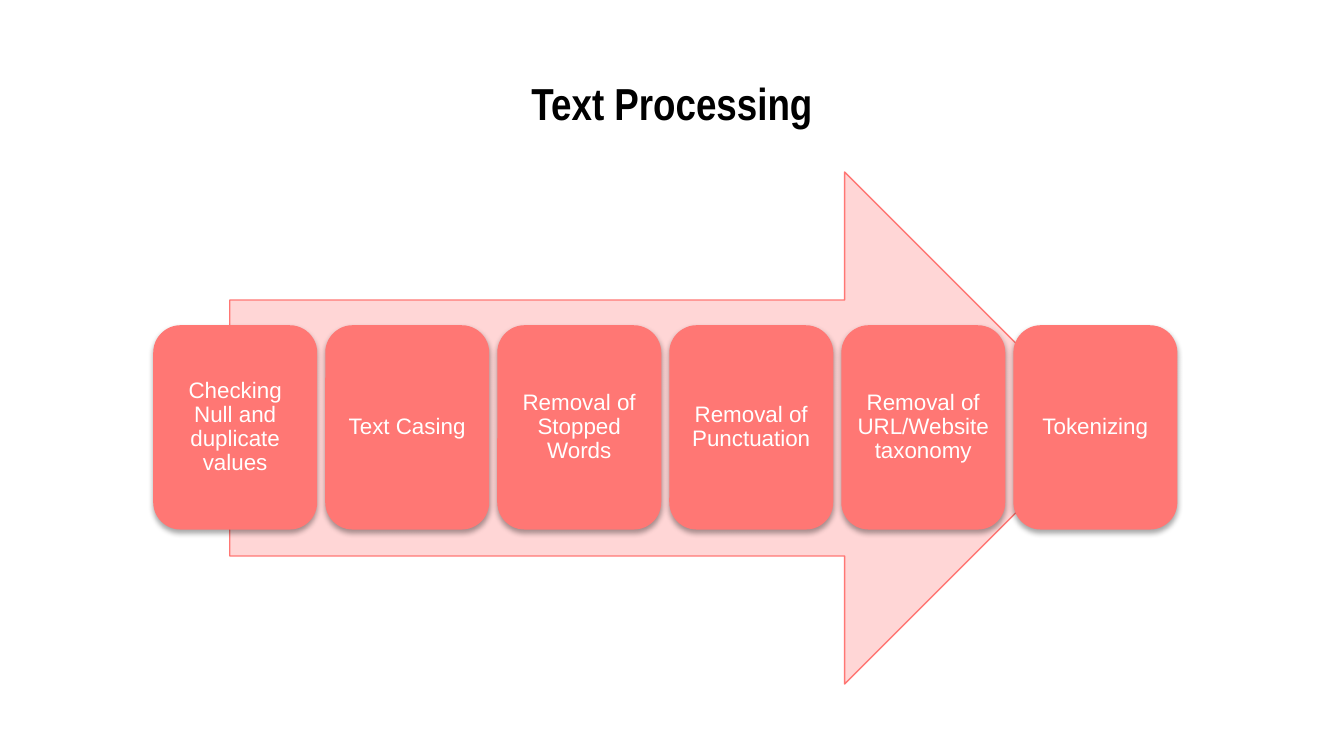
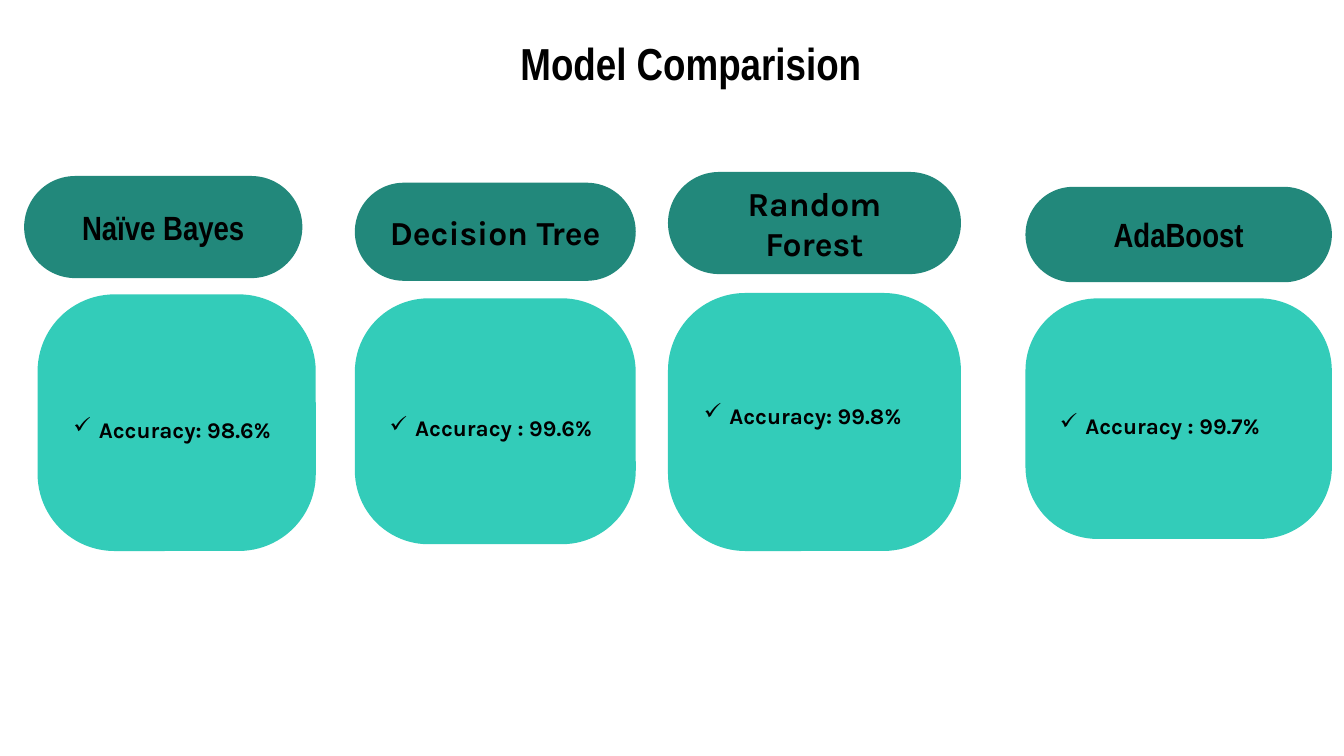
from dataclasses import dataclass

from lxml.etree import SubElement
from pptx import Presentation
from pptx.dml.color import RGBColor
from pptx.enum.shapes import MSO_SHAPE
from pptx.enum.text import MSO_ANCHOR, MSO_AUTO_SIZE, PP_ALIGN
from pptx.oxml.ns import qn
from pptx.util import Inches, Pt


@dataclass(frozen=True)
class Theme:
    """Hold the colours, fonts and type sizes of the deck."""
    ink: str = "000000"
    paper: str = "FFFFFF"
    coral: str = "FF7774"
    blush: str = "FFD6D6"
    teal: str = "22887B"
    mint: str = "33CCB9"
    plain: str = "Arial"
    narrow: str = "Arial Narrow"
    round: str = "Karla"
    title: int = 24
    head: int = 18
    body: int = 12


THEME = Theme()
COLS, ROWS = 100, 56.25
CELL = Inches(0.1)
STEPS = (
    "Checking Null and duplicate values",
    "Text Casing",
    "Removal of Stopped Words",
    "Removal of Punctuation",
    "Removal of URL/Website taxonomy",
    "Tokenizing",
)
MODELS = (
    ("Naïve Bayes", THEME.narrow, (1.8, 13.1, 20.7, 7.6),
     "Accuracy: 98.6%", (2.8, 21.9, 20.7, 19.1), 1),
    ("Decision Tree", THEME.round, (26.4, 13.6, 20.9, 7.3),
     "Accuracy : 99.6%", (26.4, 22.2, 20.9, 18.3), 1),
    ("Random Forest", THEME.round, (49.7, 12.8, 21.8, 7.6),
     "Accuracy: 99.8%", (49.7, 21.8, 21.8, 19.2), 3),
    ("AdaBoost", THEME.narrow, (76.3, 13.9, 22.8, 7.1),
     "Accuracy : 99.7%", (76.3, 22.2, 22.8, 17.9), 1),
)


def cells(*spans):
    """Turn grid spans into lengths."""
    return [round(span * CELL) for span in spans]


def write(shape, text, face, size, tone, bold=True, pad=(1, 1, 1, 1)):
    """Fill a shape with one centred paragraph and return it."""
    frame = shape.text_frame
    frame.word_wrap = True
    frame.auto_size = MSO_AUTO_SIZE.NONE
    frame.vertical_anchor = MSO_ANCHOR.MIDDLE
    (frame.margin_left, frame.margin_top,
     frame.margin_right, frame.margin_bottom) = cells(*pad)
    frame.text = text
    para = frame.paragraphs[0]
    para.alignment = PP_ALIGN.CENTER
    font = para.font
    font.name, font.size, font.bold = face, Pt(size), bold
    font.color.rgb = RGBColor.from_string(tone)
    return para


def block(group, kind, area, fill, curve=None, edge=None):
    """Add a flat preset shape to a group."""
    shape = group.shapes.add_shape(kind, *cells(*area))
    shape.shadow.inherit = False
    shape.fill.solid()
    shape.fill.fore_color.rgb = RGBColor.from_string(fill)
    if edge:
        shape.line.color.rgb = RGBColor.from_string(edge)
        shape.line.width = Pt(0.75)
    else:
        shape.line.fill.background()
    if curve is not None:
        shape.adjustments[0] = curve
    return shape


def shade(shape):
    """Cast a soft shadow straight down."""
    effects = shape._element.spPr.find(qn("a:effectLst"))
    outer = SubElement(effects, qn("a:outerShdw"), blurRad=str(Pt(3.1)),
                       dist=str(Pt(1.8)), dir="5400000", rotWithShape="0")
    tone = SubElement(outer, qn("a:srgbClr"), val=THEME.ink)
    SubElement(tone, qn("a:alpha"), val="35000")


def tick(para):
    """Give a paragraph a hanging tick bullet."""
    props = para._p.get_or_add_pPr()
    hang = Inches(0.19)
    props.set("marL", str(hang))
    props.set("indent", str(-hang))
    tone = SubElement(props, qn("a:buClr"))
    SubElement(tone, qn("a:srgbClr"), val=THEME.ink)
    mark = SubElement(props, qn("a:buChar"), char="✓")
    font = props.find(qn("a:defRPr"))
    font.addprevious(tone)
    font.addprevious(mark)
    para.alignment = PP_ALIGN.LEFT
    para.line_spacing = 1.5


def start(deck, title, left, top):
    """Add a slide with its title in place."""
    slide = deck.slides.add_slide(deck.slide_layouts[5])
    head = slide.shapes.title
    head.left, head.top, head.width, head.height = cells(left, top, 90, 6.3)
    write(head, title, THEME.narrow, THEME.title, THEME.ink)
    return slide


def flow(slide):
    """Draw the steps in a row over a wide arrow."""
    group = slide.shapes.add_group_shape()
    block(group, MSO_SHAPE.RIGHT_ARROW, (17.1, 12.8, 64.8, 38.1),
          THEME.blush, edge=THEME.coral)
    for index, step in enumerate(STEPS):
        area = (11.4 + 12.8 * index, 24.2, 12.2, 15.2)
        card = block(group, MSO_SHAPE.ROUNDED_RECTANGLE, area, THEME.coral)
        shade(card)
        para = write(card, step, THEME.plain, THEME.body, THEME.paper,
                     bold=False, pad=(0.5, 0.5, 0.5, 0.5))
        para.line_spacing = 0.9


def model(slide, name, face, top, score, area, foot):
    """Draw one model as a name pill and a score card."""
    group = slide.shapes.add_group_shape()
    kind = MSO_SHAPE.ROUNDED_RECTANGLE
    card = block(group, kind, area, THEME.mint, 0.3)
    tick(write(card, score, THEME.round, THEME.body, THEME.ink,
               pad=(1, 1, 1, foot)))
    pill = block(group, kind, top, THEME.teal, 0.5)
    write(pill, name, face, THEME.head, THEME.ink, pad=(1.3, 1, 1.3, 1))


def main():
    """Build and save the deck."""
    deck = Presentation()
    deck.slide_width, deck.slide_height = cells(COLS, ROWS)
    flow(start(deck, "Text Processing", 5, 4.5))
    slide = start(deck, "Model Comparision", 6.4, 1.5)
    for row in MODELS:
        model(slide, *row)
    deck.save("out.pptx")


if __name__ == "__main__":
    main()
